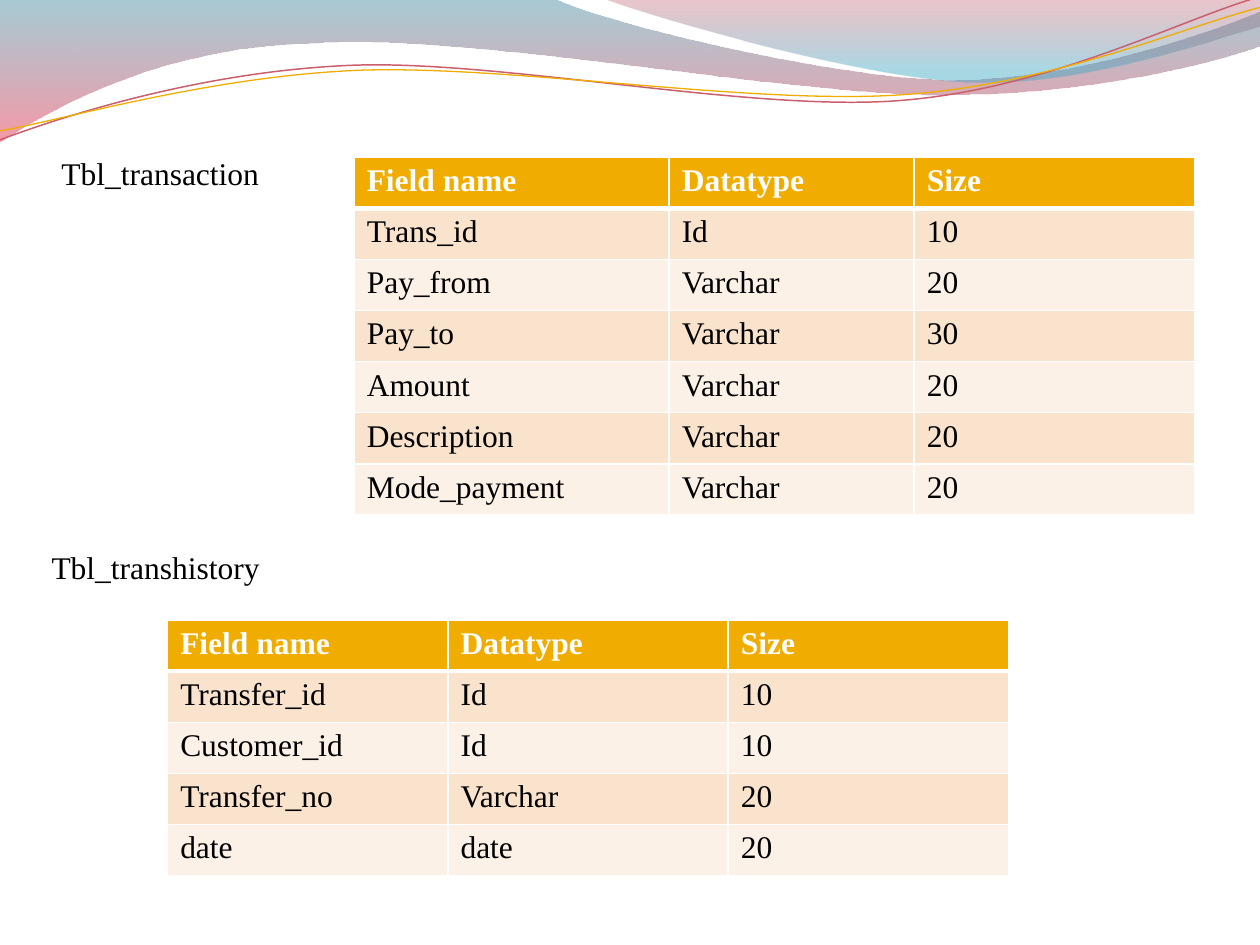
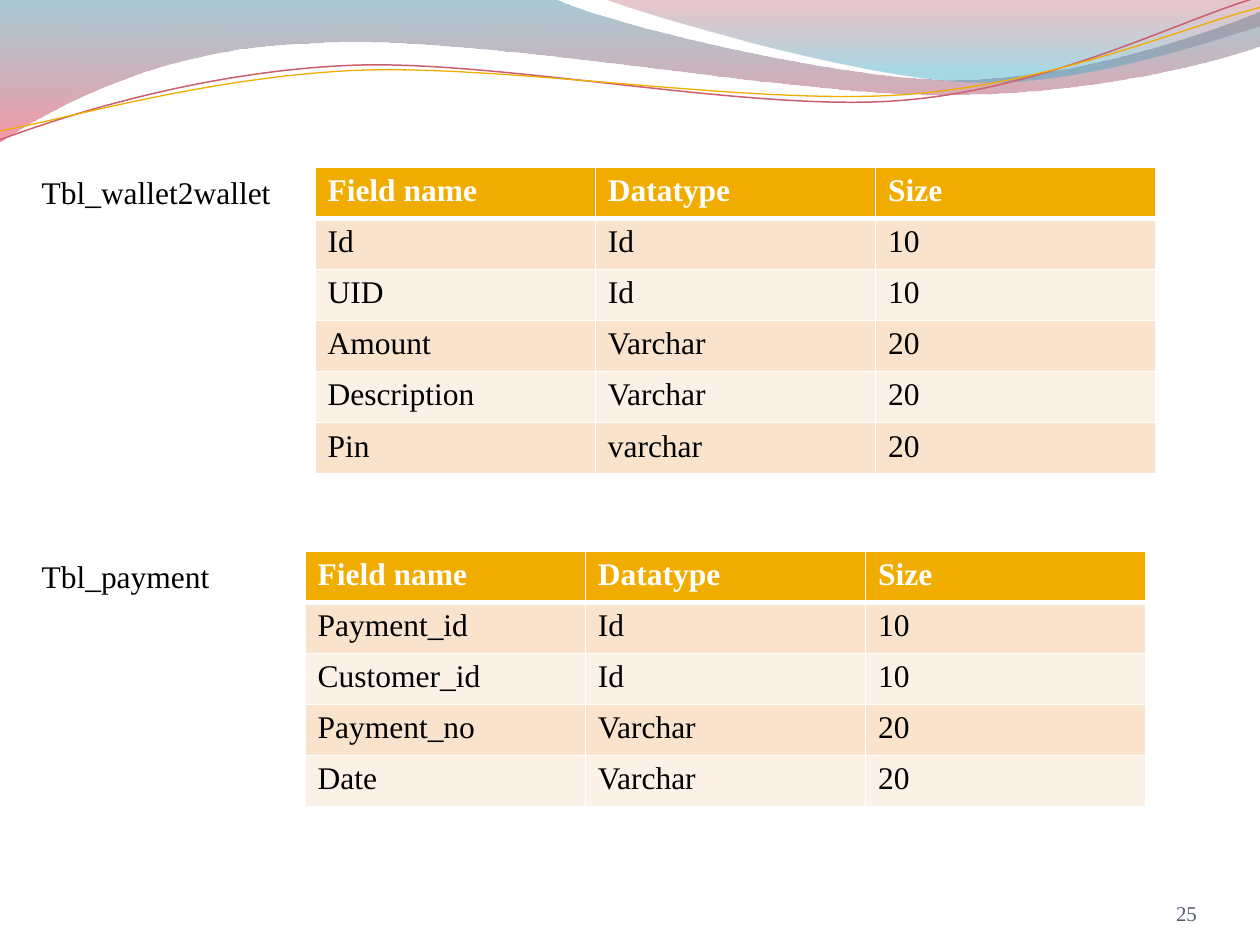
from lxml import etree
from math import cos, radians, sin
from pptx import Presentation
from pptx import util as u
from pptx.dml.color import RGBColor
from pptx.enum import text
from pptx.oxml import ns

HEAD = ("Field name", "Datatype", "Size")
EVEN = (5.65, 5.65, 5.65)
PAGES = [
    {"tables": [
        {"name": "Tbl_transaction", "label": (0.99, 2.98, 4.55),
         "at": (7.14, 3.17), "cols": (6.35, 4.94, 5.65),
         "rows": [("Trans_id", "Id", "10"), ("Pay_from", "Varchar", "20"),
                  ("Pay_to", "Varchar", "30"), ("Amount", "Varchar", "20"),
                  ("Description", "Varchar", "20"),
                  ("Mode_payment", "Varchar", "20")]},
        {"name": "Tbl_transhistory", "label": (0.79, 10.92, 4.75),
         "at": (3.38, 12.5), "cols": EVEN,
         "rows": [("Transfer_id", "Id", "10"), ("Customer_id", "Id", "10"),
                  ("Transfer_no", "Varchar", "20"), ("date", "date", "20")]}]},
    {"number": "25", "tables": [
        {"name": "Tbl_wallet2wallet", "label": (0.59, 3.37, 5.18),
         "at": (6.35, 3.37), "cols": EVEN,
         "rows": [("Id", "Id", "10"), ("UID", "Id", "10"),
                  ("Amount", "Varchar", "20"), ("Description", "Varchar", "20"),
                  ("Pin", "varchar", "20")]},
        {"name": "Tbl_payment", "label": (0.59, 11.11, 3.94),
         "at": (6.15, 11.11), "cols": EVEN,
         "rows": [("Payment_id", "Id", "10"), ("Customer_id", "Id", "10"),
                  ("Payment_no", "Varchar", "20"), ("Date", "Varchar", "20")]}]},
]

FONT = "Times New Roman"
WHITE = RGBColor(0xFF, 0xFF, 0xFF)
BLACK = RGBColor(0, 0, 0)
GOLD = RGBColor(0xF0, 0xAD, 0x00)
SAND = RGBColor(0xF9, 0xE3, 0xCC)
CREAM = RGBColor(0xFC, 0xF1, 0xE7)
SLATE = RGBColor(0x56, 0x5F, 0x73)
ROSE = RGBColor(0xCB, 0x5F, 0x6E)
TEAL = RGBColor(0x3F, 0x8A, 0x9F)
CORAL = RGBColor(0xEF, 0x44, 0x5B)
WINE = RGBColor(0xB8, 0x42, 0x53)
AQUA = RGBColor(0x42, 0xAB, 0xC7)

ROW = 1.03
TILT = -2.7
BANDS = [
    ((-0.03, -0.03, 25.45, 2.9),
     [(0, 0), (11.18, -0.03),
      (12.09, 0.43, 16.87, 1.6, 19.25, 1.6),
      (21.67, 1.6, 24.33, 0.66, 25.4, 0.23), (25.43, 0.91),
      (24.97, 1.12, 22.1, 1.93, 18.95, 1.91),
      (15.8, 1.91, 9.7, 0.71, 6.53, 0.86),
      (3.28, 0.91, 1.17, 2.11, -0.03, 2.87), (0, 0)],
     [(0, TEAL, 45), (1, CORAL, 55)]),
    ((12.17, -0.03, 13.23, 1.78),
     [(12.17, -0.03),
      (12.93, 0.28, 17.32, 1.57, 19.53, 1.65),
      (21.74, 1.75, 24.41, 0.81, 25.4, 0.53), (25.4, 0), (12.17, -0.03)],
     [(0, WINE, 30), (0.8, AQUA, 45)]),
]
WAVES = [
    ((-0.05, 0.56, 25.45, 1.8),
     [(0, 2.82),
      (1.22, 2.36, 4.01, 1.45, 7.04, 1.32),
      (10.03, 1.19, 15.06, 2.26, 18.11, 2.03),
      (21.16, 1.8, 23.83, 0.38, 25.35, -0.05)], ROSE, 0.85),
    ((-0.05, 0.76, 25.48, 1.47),
     [(0, 2.64),
      (1.19, 2.44, 4.17, 1.55, 7.19, 1.42),
      (10.24, 1.3, 15.16, 2.13, 18.21, 1.91),
      (21.23, 1.7, 23.9, 0.53, 25.4, 0.15)], GOLD, 0.75),
]


def local(x, y, box, tilt):
    left, top, width, height = box
    dx, dy = x - left - width / 2, y - top - height / 2
    turn = radians(-tilt)
    return (u.Cm(width / 2 + dx * cos(turn) - dy * sin(turn)),
            u.Cm(height / 2 + dx * sin(turn) + dy * cos(turn)))


def draw(slide, box, curve, tilt=0, close=False):
    left, top, width, height = map(u.Cm, box)
    pen = slide.shapes.build_freeform(left, top)
    pen.add_line_segments([(left + width, top + height)], close=False)
    shape = pen.convert_to_shape()
    shape.shadow.inherit = False
    shape.rotation = tilt
    route = shape.element.find(".//" + ns.qn("a:path"))
    for child in list(route):
        route.remove(child)
    for spot, part in enumerate(curve):
        kind = "cubicBezTo" if len(part) == 6 else "lnTo" if spot else "moveTo"
        move = etree.SubElement(route, ns.qn("a:" + kind))
        for x, y in zip(part[::2], part[1::2]):
            px, py = local(x, y, box, tilt)
            etree.SubElement(move, ns.qn("a:pt"), x=str(px), y=str(py))
    if close:
        etree.SubElement(route, ns.qn("a:close"))
    return shape


def add_band(slide, box, curve, stops):
    band = draw(slide, box, curve, close=True)
    band.line.fill.background()
    band.fill.gradient()
    band.fill.gradient_angle = 270
    for stop, (place, color, _) in zip(band.fill.gradient_stops, stops):
        stop.position = place
        stop.color.rgb = color
    for tint, (_, _, alpha) in zip(band.element.spPr.iter(ns.qn("a:srgbClr")), stops):
        etree.SubElement(tint, ns.qn("a:alpha"), val=str(alpha * 1000))
    return band


def add_wave(slide, box, curve, color, width):
    wave = draw(slide, box, curve, TILT)
    wave.fill.background()
    wave.line.color.rgb = color
    wave.line.width = u.Pt(width)
    return wave


def style(frame, size, color, bold=False):
    for run in frame.paragraphs[0].runs:
        font = run.font
        font.name, font.size, font.bold = FONT, u.Pt(size), bold
        font.color.rgb = color


def add_text(slide, words, box, size, color):
    frame = slide.shapes.add_textbox(*map(u.Cm, box)).text_frame
    frame.text = words
    style(frame, size, color)
    return frame


def add_label(slide, words, spot):
    frame = add_text(slide, words, (*spot, 1.03), 18, BLACK)
    frame.word_wrap = False
    frame.auto_size = text.MSO_AUTO_SIZE.SHAPE_TO_FIT_TEXT


def add_number(slide, words):
    frame = add_text(slide, words, (22.02, 17.65, 2.11, 1.02), 12, SLATE)
    frame.word_wrap = True
    frame.margin_left = frame.margin_right = 0
    frame.margin_top = frame.margin_bottom = 0
    frame.vertical_anchor = text.MSO_ANCHOR.BOTTOM
    frame.paragraphs[0].alignment = text.PP_ALIGN.RIGHT


def add_edges(cell, row):
    props = cell._tc.get_or_add_tcPr()
    thick = {"T": 3 if row == 1 else 1, "B": 3 if row == 0 else 1}
    for spot, side in enumerate("LRTB"):
        edge = etree.Element(ns.qn("a:ln" + side), w=str(u.Pt(thick.get(side, 1))))
        fill = etree.SubElement(edge, ns.qn("a:solidFill"))
        etree.SubElement(fill, ns.qn("a:srgbClr"), val=str(WHITE))
        props.insert(spot, edge)


def add_grid(slide, data):
    rows = [HEAD] + data["rows"]
    size = (sum(data["cols"]), ROW * len(rows))
    grid = slide.shapes.add_table(len(rows), len(HEAD),
                                  *map(u.Cm, data["at"] + size)).table
    for col, width in zip(grid.columns, data["cols"]):
        col.width = u.Cm(width)
    for r, row in enumerate(rows):
        grid.rows[r].height = u.Cm(ROW)
        for c, words in enumerate(row):
            cell = grid.cell(r, c)
            cell.text = words
            style(cell.text_frame, 18, BLACK if r else WHITE, r == 0)
            cell.fill.solid()
            cell.fill.fore_color.rgb = (SAND if r % 2 else CREAM) if r else GOLD
            add_edges(cell, r)


def dress(master, slide):
    parts = [add_band(slide, *band) for band in BANDS]
    parts += [add_wave(slide, *wave) for wave in WAVES]
    for part in parts:
        master.shapes.element.append(part.element)


def main():
    deck = Presentation()
    deck.slide_width, deck.slide_height = u.Cm(25.4), u.Cm(19.05)
    blank = deck.slide_layouts[6]
    slides = [deck.slides.add_slide(blank) for _ in PAGES]
    dress(deck.slide_master, slides[0])
    for slide, page in zip(slides, PAGES):
        for data in page["tables"]:
            add_grid(slide, data)
            add_label(slide, data["name"], data["label"])
        if "number" in page:
            add_number(slide, page["number"])
    deck.save("out.pptx")


if __name__ == "__main__":
    main()
